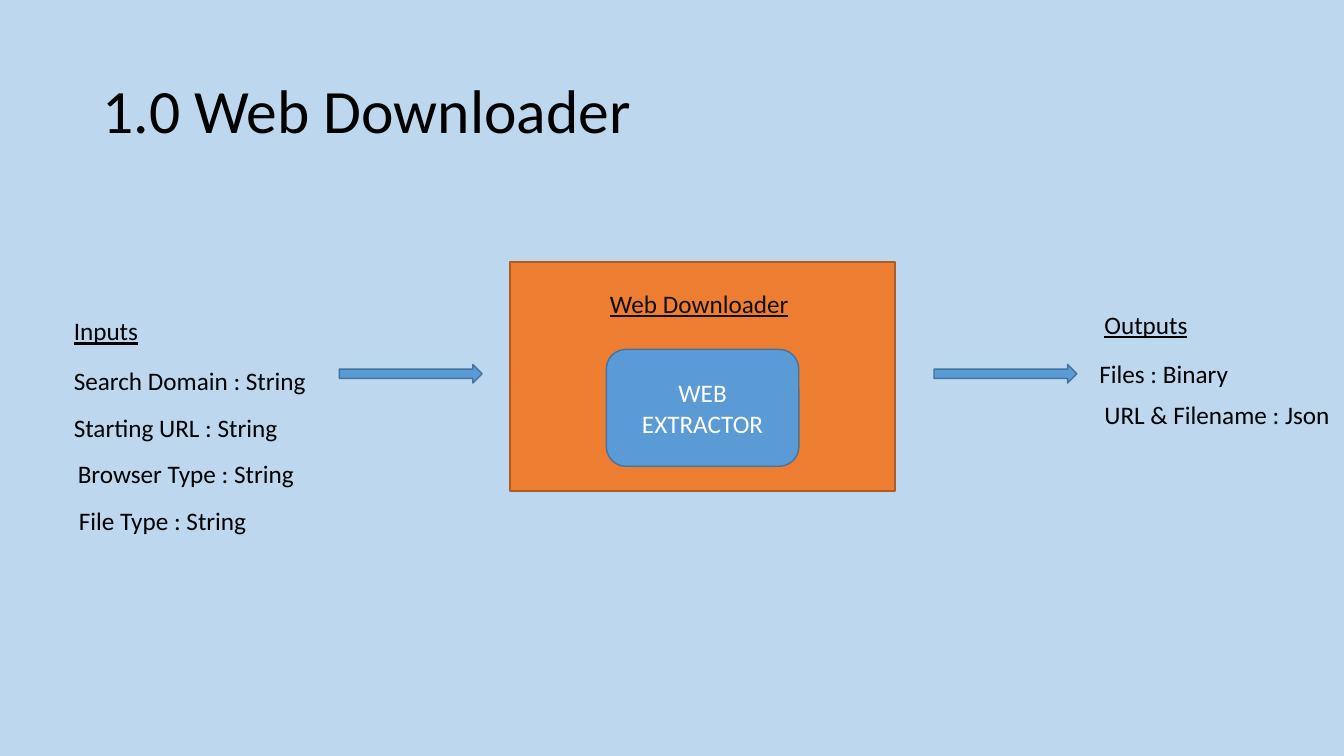
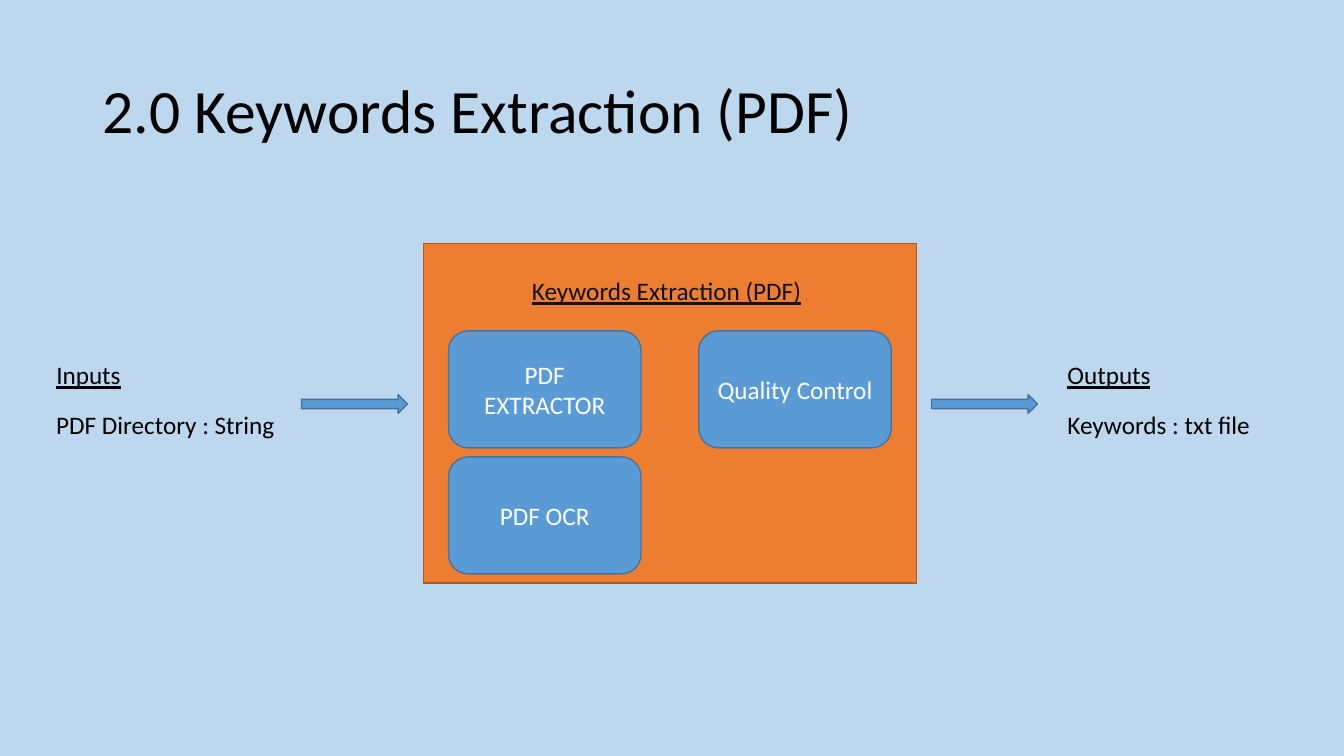
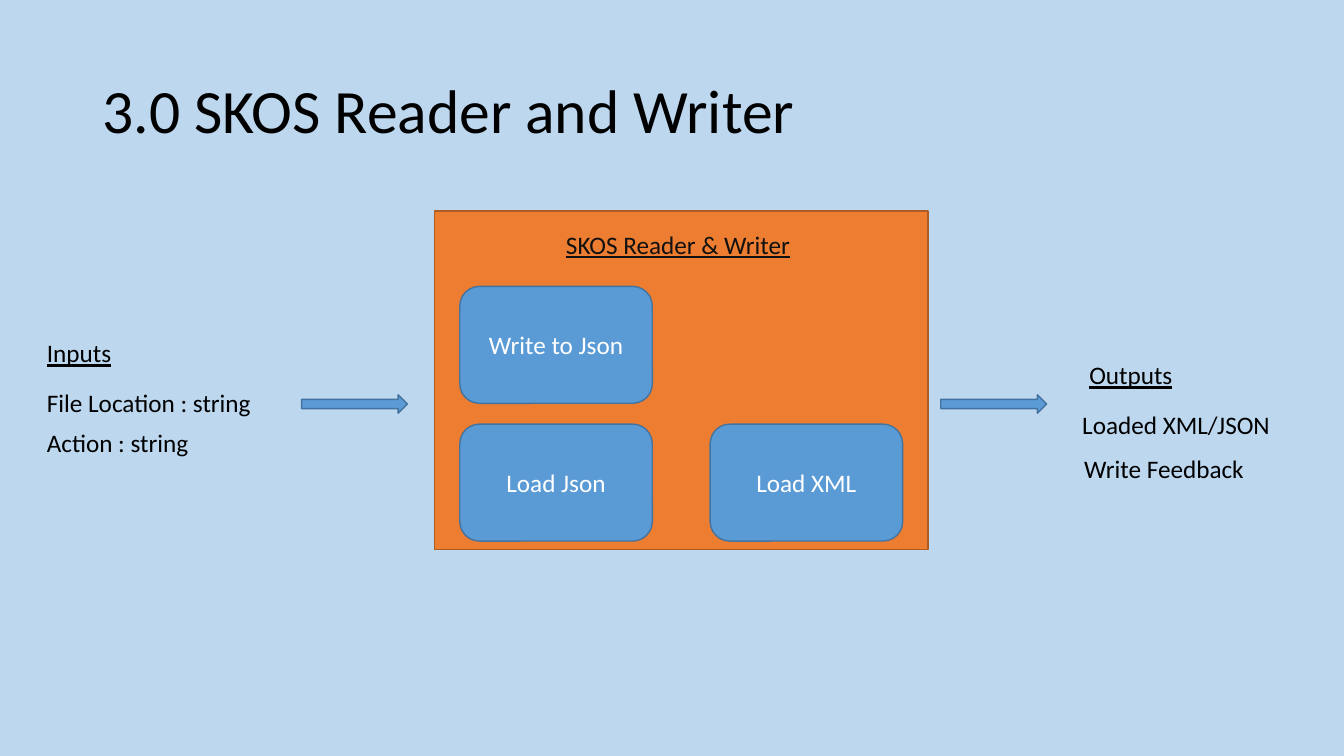
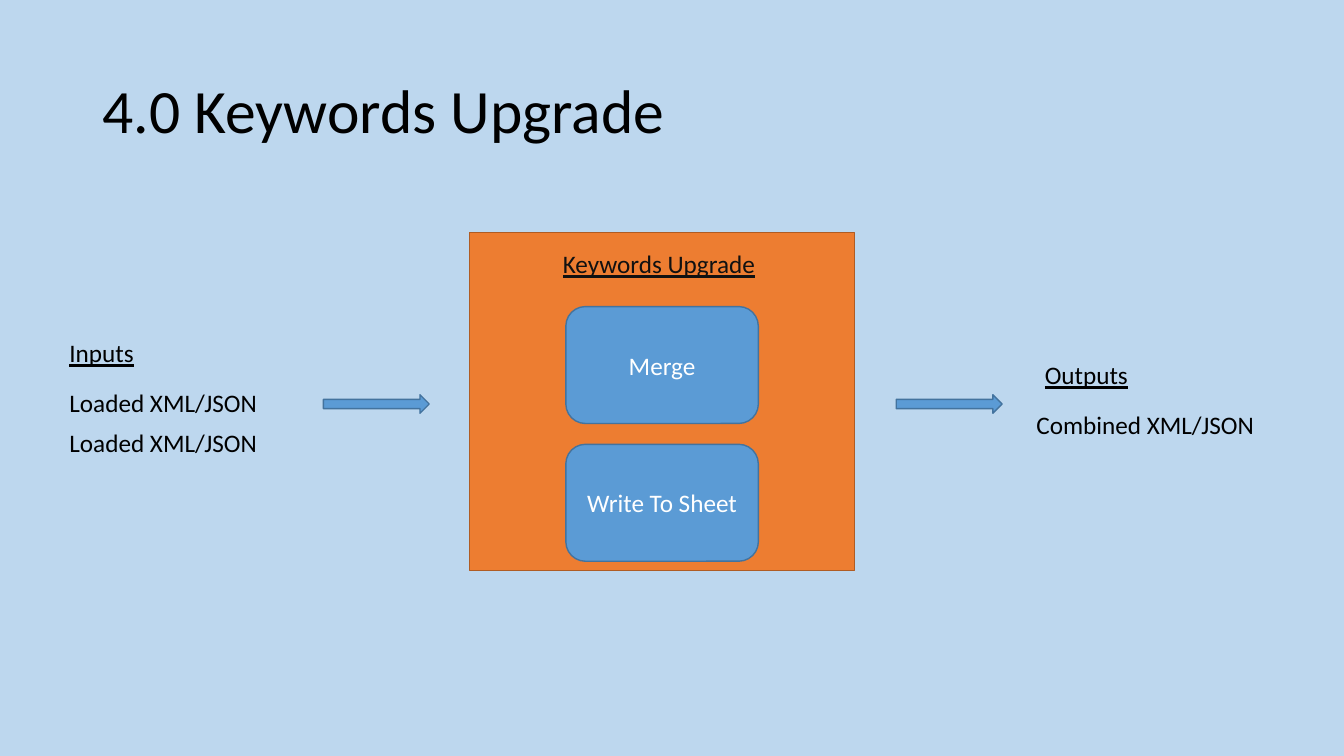
from pptx import Presentation
from pptx.dml.color import RGBColor
from pptx.enum.shapes import MSO_SHAPE
from pptx.enum.text import MSO_ANCHOR, MSO_AUTO_SIZE, PP_ALIGN
from pptx.util import Inches, Pt

RECTANGLE = MSO_SHAPE.RECTANGLE
ROUNDED = MSO_SHAPE.ROUNDED_RECTANGLE
ARROW = MSO_SHAPE.RIGHT_ARROW
LEFT, CENTER = PP_ALIGN.LEFT, PP_ALIGN.CENTER
MIDDLE = MSO_ANCHOR.MIDDLE
FIT_SHAPE, NO_FIT = MSO_AUTO_SIZE.SHAPE_TO_FIT_TEXT, MSO_AUTO_SIZE.NONE

COLORS = {
    "background": "BDD7EE",
    "process": "ED7D31",
    "process_line": "AF5C24",
    "step": "5B9BD5",
    "step_line": "43739E",
    "text": "000000",
    "heading": "111111",
    "step_text": "FFFFFF",
}
FONT = "Calibri"

# The slide is a grid of 80 columns and 45 rows; all lengths below are in cells.
WIDTH, HEIGHT = Inches(13.333), Inches(7.5)
COLUMN, ROW = WIDTH / 80, HEIGHT / 45
TITLE_BOX = (5.5, 2.4, 69, 8.7)
LINE_HEIGHT = 2.4
STEP_WIDTH, STEP_HEIGHT, STEP_PITCH = 11.46, 6.96, 14.9
ARROW_HEIGHT = 1.1
FIRST_LABEL_GAP = 2.95

# Labels are (text, width, indent); steps are (text, column, row).
SLIDES = [
    {
        "title": "1.0 Web Downloader",
        "process": {
            "box": (30.36, 15.6, 22.92, 13.62),
            "heading": ("Web Downloader", 12, 1.26),
            "steps": [("WEB EXTRACTOR", 0, 0)],
            "steps_top": 5.2,
        },
        "inputs": {
            "left": 3.8, "top": 18.5, "pitch": 2.78,
            "labels": [
                ("Search Domain : String", 15.2, 0),
                ("Starting URL : String", 13.5, 0),
                ("Browser Type : String", 14.2, 0.24),
                ("File Type : String", 11.3, 0.3),
            ],
        },
        "outputs": {
            "left": 65.15, "top": 18.1, "pitch": 2.45,
            "labels": [
                ("Files : Binary", 8.9, -0.3),
                ("URL & Filename : Json", 14.8, 0),
            ],
        },
        "arrows": {"lefts": (20.2, 55.6), "top": 21.7, "width": 8.5},
    },
    {
        "title": "2.0 Keywords Extraction (PDF)",
        "process": {
            "box": (25.2, 14.5, 29.35, 20.2),
            "heading": ("Keywords Extraction (PDF)", 17.4, 1.6),
            "steps": [("PDF EXTRACTOR", 0, 0), ("Quality Control", 1, 0),
                      ("PDF OCR", 0, 1)],
            "steps_top": 5.2,
            "row_pitch": 7.5,
        },
        "inputs": {
            "left": 2.76, "top": 21.1,
            "labels": [("PDF Directory : String", 14.3, 0)],
        },
        "outputs": {
            "left": 62.95, "top": 21.1,
            "labels": [("Keywords : txt file", 12.2, 0)],
        },
        "arrows": {"lefts": (17.95, 55.45), "top": 23.5, "width": 6.3},
    },
    {
        "title": "3.0 SKOS Reader and Writer",
        "process": {
            "box": (25.85, 12.55, 29.4, 20.15),
            "heading": ("SKOS Reader & Writer", 14.7, 0.8),
            "steps": [("Write to Json", 0, 0), ("Load Json", 0, 1),
                      ("Load XML", 1, 1)],
            "steps_top": 4.5,
            "row_pitch": 8.2,
        },
        "inputs": {
            "left": 2.2, "top": 19.8, "pitch": 2.4,
            "labels": [
                ("File Location : string", 13.5, 0),
                ("Action : string", 9.7, 0),
            ],
        },
        "outputs": {
            "left": 64.25, "top": 21.1, "pitch": 2.64,
            "labels": [
                ("Loaded XML/JSON", 12.5, -0.42),
                ("Write Feedback", 10.8, -0.3),
            ],
        },
        "arrows": {"lefts": (17.95, 56), "top": 23.5, "width": 6.3},
    },
    {
        "title": "4.0 Keywords Upgrade",
        "process": {
            "box": (27.95, 13.85, 22.92, 20.1),
            "heading": ("Keywords Upgrade", 12.8, 0.66),
            "steps": [("Merge", 0, 0), ("Write To Sheet", 0, 1)],
            "steps_top": 4.4,
            "row_pitch": 8.2,
        },
        "inputs": {
            "left": 3.54, "top": 19.8, "pitch": 2.4,
            "labels": [("Loaded XML/JSON", 12.5, 0)] * 2,
        },
        "outputs": {
            "left": 61.6, "top": 21.1,
            "labels": [("Combined XML/JSON", 14.3, -0.5)],
        },
        "arrows": {"lefts": (19.25, 53.35), "top": 23.5, "width": 6.3},
    },
]


def color(name):
    """Return the named palette colour."""
    return RGBColor.from_string(COLORS[name])


def place(left, top, width, height):
    """Convert a box in grid cells to slide lengths."""
    return (round(left * COLUMN), round(top * ROW),
            round(width * COLUMN), round(height * ROW))


def write(frame, text, size=18, ink="text", underline=None, align=LEFT):
    """Write one formatted paragraph into a text frame and return it."""
    paragraph = frame.paragraphs[0]
    paragraph.alignment = align
    run = paragraph.add_run()
    run.text = text
    run.font.name = FONT
    run.font.size = Pt(size)
    run.font.underline = underline
    run.font.color.rgb = color(ink)
    return paragraph


def add_label(slide, text, left, top, width, **style):
    """Add a single unwrapped line of text."""
    box = place(left, top, width, LINE_HEIGHT)
    frame = slide.shapes.add_textbox(*box).text_frame
    frame.word_wrap = False
    frame.auto_size = FIT_SHAPE
    write(frame, text, **style)


def add_block(slide, kind, box, fill):
    """Add a filled shape outlined in the darker tone of its fill."""
    shape = slide.shapes.add_shape(kind, *place(*box))
    shape.shadow.inherit = False
    shape.fill.solid()
    shape.fill.fore_color.rgb = color(fill)
    shape.line.color.rgb = color(fill + "_line")
    shape.line.width = Pt(1)
    return shape


def add_title(slide, text):
    """Place and fill the title placeholder."""
    title = slide.shapes.title
    title.left, title.top, title.width, title.height = place(*TITLE_BOX)
    frame = title.text_frame
    frame.auto_size = NO_FIT
    frame.vertical_anchor = MIDDLE
    write(frame, text, size=44).line_spacing = 0.9


def add_process(slide, box, heading, steps, steps_top, row_pitch=0):
    """Add the process panel with its heading and centred grid of steps."""
    left, top, width, _ = box
    add_block(slide, RECTANGLE, box, "process")

    text, text_width, offset = heading
    add_label(slide, text, left + (width - text_width) / 2 - 0.1, top + offset,
              text_width, ink="heading", underline=True)

    last_column = max(column for _, column, _ in steps)
    margin = (width - STEP_WIDTH - last_column * STEP_PITCH) / 2
    for text, column, row in steps:
        step_box = (left + margin + column * STEP_PITCH,
                    top + steps_top + row * row_pitch,
                    STEP_WIDTH, STEP_HEIGHT)
        frame = add_block(slide, ROUNDED, step_box, "step").text_frame
        frame.word_wrap = True
        frame.vertical_anchor = MIDDLE
        write(frame, text, ink="step_text", align=CENTER)


def add_list(slide, heading, heading_width, left, top, labels, pitch=0):
    """Add an underlined heading with evenly spaced labels below it."""
    add_label(slide, heading, left, top, heading_width, underline=True)
    for index, (text, width, indent) in enumerate(labels):
        add_label(slide, text, left + indent,
                  top + FIRST_LABEL_GAP + index * pitch, width)


def add_arrows(slide, lefts, top, width):
    """Add the arrows into and out of the process panel."""
    for left in lefts:
        add_block(slide, ARROW, (left, top, width, ARROW_HEIGHT), "step")


def add_flow_slide(presentation, content):
    """Add a slide that shows inputs, process and outputs."""
    slide = presentation.slides.add_slide(presentation.slide_layouts[5])
    add_title(slide, content["title"])
    add_process(slide, **content["process"])
    add_list(slide, "Inputs", 5.1, **content["inputs"])
    add_list(slide, "Outputs", 6.2, **content["outputs"])
    add_arrows(slide, **content["arrows"])


def main():
    """Build and save the presentation."""
    presentation = Presentation()
    presentation.slide_width, presentation.slide_height = WIDTH, HEIGHT
    background = presentation.slide_master.background.fill
    background.solid()
    background.fore_color.rgb = color("background")
    for content in SLIDES:
        add_flow_slide(presentation, content)
    presentation.save("out.pptx")


main()
